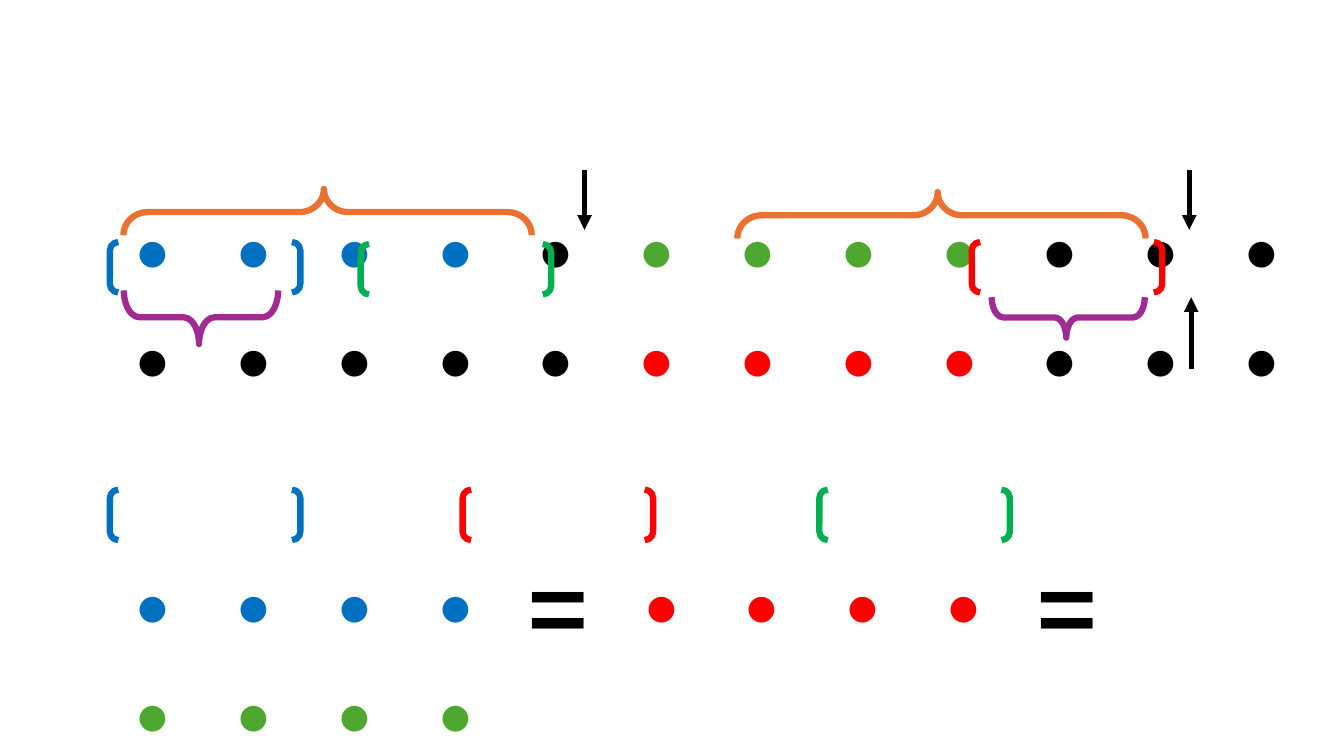
from dataclasses import dataclass

from lxml import etree
from pptx import Presentation
from pptx import util as u
from pptx.dml.color import RGBColor
from pptx.enum import shapes, text
from pptx.oxml import ns


@dataclass(frozen=True)
class Theme:
    font: str = "Noto Sans CJK TC"
    dot_size: float = 72
    line_width: float = 4.5
    arrow_width: float = 3.5
    black: str = "000000"
    blue: str = "0070C0"
    red: str = "FF0000"
    dot_green: str = "4EA72E"
    bracket_green: str = "00B050"
    orange: str = "E97132"
    purple: str = "A02B93"


THEME = Theme()


def rgb(value):
    return RGBColor.from_string(value)


def add_outline(s, kind, box, colour):
    sp = s.shapes.add_shape(kind, *map(u.Cm, box))
    sp.shadow.inherit = False
    sp.fill.background()
    sp.line.color.rgb = rgb(colour)
    sp.line.width = u.Pt(THEME.line_width)
    return sp


def add_brace(s, box, kind, adjustments, colour):
    """Lay a brace on its side so that it fills the box as seen."""
    left, top, width, height = box
    shift = (width - height) / 2
    sp = add_outline(s, kind, (left + shift, top - shift, height, width), colour)
    sp.rotation = 90
    for i, value in enumerate(adjustments):
        sp.adjustments[i] = value


def add_arrow(s, x, start, end):
    line = s.shapes.add_connector(
        shapes.MSO_CONNECTOR.STRAIGHT, u.Cm(x), u.Cm(start), u.Cm(x), u.Cm(end))
    line.line.color.rgb = rgb(THEME.black)
    line.line.width = u.Pt(THEME.arrow_width)
    etree.SubElement(line.line._get_or_add_ln(), ns.qn("a:tailEnd"), type="triangle")
    etree.SubElement(line._element.spPr, ns.qn("a:effectLst"))


def add_dots(s, box):
    t = THEME
    sequence = [(4, t.blue), (1, t.black), (4, t.dot_green),
                (8, t.black), (4, t.red), (3, t.black)]
    equation = [(4, t.blue), (" = ", t.black), (4, t.red),
                (" = ", t.black), (4, t.dot_green)]
    tf = s.shapes.add_textbox(*map(u.Cm, box)).text_frame
    tf.word_wrap = True
    tf.vertical_anchor = text.MSO_ANCHOR.TOP
    for i, parts in enumerate((sequence, equation)):
        p = tf.add_paragraph() if i else tf.paragraphs[0]
        p.line_spacing = 0.9
        p.space_before = u.Pt(98 if i else 0)
        p.font.size = u.Pt(t.dot_size)
        p.font.bold = True
        p.font.name = t.font
        for part, colour in parts:
            r = p.add_run()
            r.text = part if isinstance(part, str) else "·" * part
            r.font.color.rgb = rgb(colour)
            r.font.name = t.font
            etree.SubElement(r.font._element, ns.qn("a:ea"), typeface=t.font)


def add_braces(s):
    kind = shapes.MSO_SHAPE
    for left, top in ((3.11, 4.76), (18.58, 4.84)):
        add_brace(s, (left, top, 10.29, 1.17), kind.LEFT_BRACE,
                  (0.526, 0.509), THEME.orange)
    for box in ((3.12, 7.32, 3.89, 1.35), (24.99, 7.49, 3.86, 1.02)):
        add_brace(s, box, kind.RIGHT_BRACE, (0.291, 0.513), THEME.purple)


def add_brackets(s):
    t = THEME
    for left, top, colour in (
            (2.77, 6.1, t.blue), (24.49, 6.1, t.red), (9.09, 6.15, t.bracket_green),
            (2.77, 12.34, t.blue), (11.66, 12.34, t.red), (20.65, 12.34, t.bracket_green)):
        add_outline(s, shapes.MSO_SHAPE.DOUBLE_BRACKET, (left, top, 4.8, 1.27), colour)


def main():
    prs = Presentation()
    prs.slide_width, prs.slide_height = u.Cm(33.87), u.Cm(19.05)
    s = prs.slides.add_slide(prs.slide_layouts[6])
    add_dots(s, (2.34, 5.08, 31.85, 11.79))
    for x, start, end in ((29.97, 4.29, 5.79), (30.02, 9.3, 7.49), (14.73, 4.29, 5.79)):
        add_arrow(s, x, start, end)
    add_braces(s)
    add_brackets(s)
    prs.save("out.pptx")


if __name__ == "__main__":
    main()
